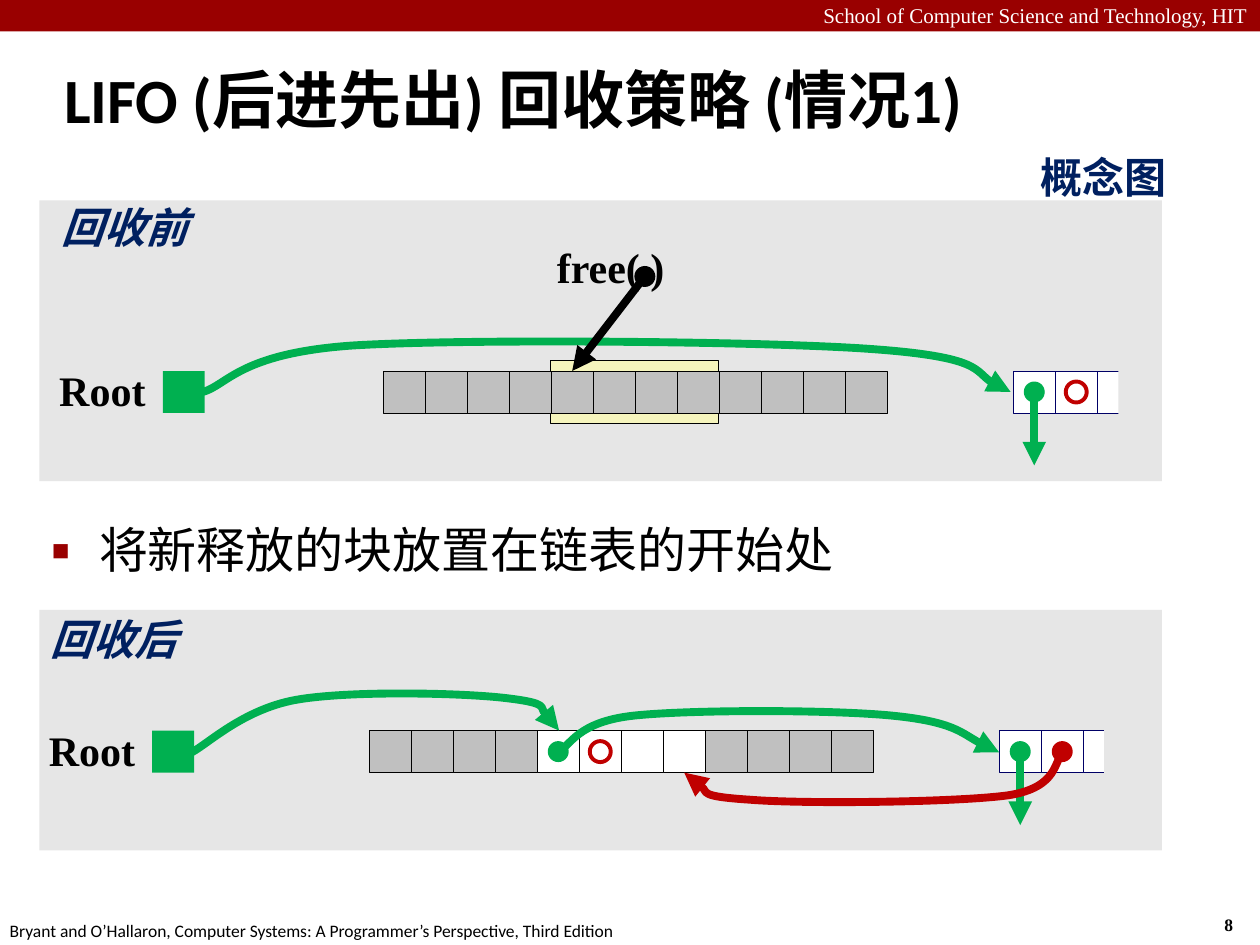
from lxml import etree
from pptx import Presentation
from pptx.dml.color import RGBColor
from pptx.enum.shapes import MSO_CONNECTOR, MSO_SHAPE
from pptx.enum.text import MSO_ANCHOR, MSO_AUTO_SIZE, PP_ALIGN
from pptx.oxml.ns import qn
from pptx.util import Pt

RECT, OVAL = MSO_SHAPE.RECTANGLE, MSO_SHAPE.OVAL
STRAIGHT = MSO_CONNECTOR.STRAIGHT
LEFT, CENTER, RIGHT = PP_ALIGN.LEFT, PP_ALIGN.CENTER, PP_ALIGN.RIGHT
TOP, MIDDLE = MSO_ANCHOR.TOP, MSO_ANCHOR.MIDDLE
FIT, FIXED = MSO_AUTO_SIZE.SHAPE_TO_FIT_TEXT, MSO_AUTO_SIZE.NONE

BLACK = RGBColor(0x00, 0x00, 0x00)
WHITE = RGBColor(0xFF, 0xFF, 0xFF)
CRIMSON = RGBColor(0x99, 0x00, 0x00)
PANEL_GRAY = RGBColor(0xE6, 0xE6, 0xE6)
USED_GRAY = RGBColor(0xC0, 0xC0, 0xC0)
BLOCK_YELLOW = RGBColor(0xF6, 0xF5, 0xBD)
NEXT_GREEN = RGBColor(0x00, 0xB0, 0x50)
PREV_RED = RGBColor(0xC0, 0x00, 0x00)
NAVY = RGBColor(0x00, 0x20, 0x60)
LIST_EDGE = RGBColor(0x00, 0x00, 0x66)

SERIF, SANS, CJK = "Times New Roman", "Calibri", "Noto Sans CJK SC"
CELL = 24
DOT = 12
ROW_CELLS = 12
LIST_OFFSET = 360  # from the first heap cell to the next free block
LABEL_FONT = {"name": SERIF, "size": Pt(24), "bold": True}
STAGE_FONT = {"name": SANS, "size": Pt(24), "bold": True, "italic": True}


def set_values(target, values):
    for name, value in values.items():
        setattr(target, name, value)


def add_figure(slide, kind, box, fill=None, edge=None, edge_width=0.25):
    figure = slide.shapes.add_shape(kind, *map(Pt, box))
    figure.shadow.inherit = False
    if fill is None:
        figure.fill.background()
    else:
        figure.fill.solid()
        figure.fill.fore_color.rgb = fill
    if edge is None:
        figure.line.fill.background()
    else:
        figure.line.color.rgb = edge
        figure.line.width = Pt(edge_width)


def add_text(slide, box, text, font, color=BLACK, align=LEFT, spacing=1.0,
             inset=(7.2, 3.6), wrap=False, anchor=TOP, fit=FIT):
    frame = slide.shapes.add_textbox(*map(Pt, box)).text_frame
    side, end = map(Pt, inset)
    set_values(frame, {"word_wrap": wrap, "auto_size": fit,
                       "vertical_anchor": anchor,
                       "margin_left": side, "margin_right": side,
                       "margin_top": end, "margin_bottom": end})
    paragraph = frame.paragraphs[0]
    set_values(paragraph, {"alignment": align, "line_spacing": spacing})
    run = paragraph.add_run()
    run.text = text
    set_values(run.font, font)
    run.font.color.rgb = color
    east_asian = etree.SubElement(run.font._element, qn("a:ea"))
    east_asian.set("typeface", CJK)
    run.font._element.find(qn("a:latin")).addnext(east_asian)
    return paragraph


def add_label(slide, box, text, font=LABEL_FONT, color=BLACK):
    add_text(slide, box, text, font, color, CENTER, 0.9, (3.6, 3.6))


def set_indent(paragraph, hanging):
    properties = paragraph._p.get_or_add_pPr()
    properties.set("marL", str(Pt(hanging)))
    properties.set("indent", str(-Pt(hanging)))
    return properties


def add_bullet(paragraph, hanging):
    properties = set_indent(paragraph, hanging)
    color = etree.SubElement(properties, qn("a:buClr"))
    etree.SubElement(color, qn("a:srgbClr")).set("val", str(CRIMSON))
    for tag, name, value in (("a:buSzPct", "val", "60000"),
                             ("a:buFont", "typeface", SERIF),
                             ("a:buChar", "char", "■")):
        etree.SubElement(properties, qn(tag)).set(name, value)


def style_arrow(arrow, color):
    arrow.line.color.rgb = color
    arrow.line.width = Pt(4.5)
    outline = arrow.line._get_or_add_ln()
    etree.SubElement(outline, qn("a:tailEnd")).set("type", "triangle")


def add_arrow(slide, start, end, color):
    arrow = slide.shapes.add_connector(STRAIGHT, *map(Pt, start + end))
    style_arrow(arrow, color)
    etree.SubElement(arrow._element.spPr, qn("a:effectLst"))


def add_curve(slide, points, color):
    """Draw a Bezier arrow: a start point, then three points per segment."""
    start, *rest = [(Pt(x), Pt(y)) for x, y in points]
    builder = slide.shapes.build_freeform(*start)
    builder.add_line_segments(rest, close=False)
    curve = builder.convert_to_shape()
    curve.shadow.inherit = False
    curve.fill.background()
    style_arrow(curve, color)
    outline = next(curve._element.iter(qn("a:path")))
    steps = outline.findall(qn("a:lnTo"))
    for first in range(0, len(steps), 3):
        bezier = etree.SubElement(outline, qn("a:cubicBezTo"))
        for step in steps[first:first + 3]:
            bezier.append(step[0])
            outline.remove(step)


def add_dot(slide, cell_left, cell_top, fill=None, edge=None):
    gap = (CELL - DOT) / 2
    add_figure(slide, OVAL, (cell_left + gap, cell_top + gap, DOT, DOT),
               fill, edge, 2.25)


def add_memory(slide, left, top, root_left, free_cells=()):
    """Draw the root, the heap row and the next free block."""
    add_figure(slide, RECT, (root_left, top, CELL, CELL), NEXT_GREEN)
    add_label(slide, (root_left - 63, top - 4, 57, 34), "Root")
    for index in range(ROW_CELLS):
        fill = WHITE if index in free_cells else USED_GRAY
        add_figure(slide, RECT, (left + index * CELL, top, CELL, CELL),
                   fill, BLACK)
    list_left = left + LIST_OFFSET
    for index in range(3):
        add_figure(slide, RECT, (list_left + index * CELL, top, CELL, CELL),
                   WHITE, LIST_EDGE)
    # Cover that leaves the last cell open on the right
    add_figure(slide, RECT, (list_left + 2.5 * CELL, top - 6, CELL, 36),
               PANEL_GRAY)
    add_dot(slide, list_left, top, NEXT_GREEN)
    middle = list_left + CELL / 2
    add_arrow(slide, (middle, top + 12), (middle, top + 54), NEXT_GREEN)


def add_before(slide):
    left, top = 219, 212
    add_figure(slide, RECT, (22.5, 114.5, 641.5, 160.5), PANEL_GRAY)
    add_figure(slide, RECT, (left + 4 * CELL - 0.5, top - 6, 4 * CELL, 36),
               BLOCK_YELLOW, BLACK, 0.75)
    add_curve(slide, [(116, 224), (130, 220), (137, 202), (201, 197.5),
                      (264, 193.5), (436, 195), (498, 199.5),
                      (561, 204), (561, 219), (577.5, 224)], NEXT_GREEN)
    add_memory(slide, left, top, 93)
    add_dot(slide, left + LIST_OFFSET + CELL, top, edge=PREV_RED)
    add_label(slide, (314.5, 138, 69, 34), "free( )")
    add_dot(slide, 356.5, 146, BLACK)
    add_arrow(slide, (368.5, 158), (327, 212), BLACK)
    add_label(slide, (31, 115, 80.5, 34), "回收前", STAGE_FONT, NAVY)


def add_after(slide):
    left, top = 211, 417.5
    freed_left = left + 4 * CELL
    add_figure(slide, RECT, (22.5, 348.5, 641.5, 137.5), PANEL_GRAY)
    add_memory(slide, left, top, 87, free_cells=range(4, 8))
    add_dot(slide, freed_left, top, NEXT_GREEN)
    add_dot(slide, left + LIST_OFFSET + CELL, top, PREV_RED)
    add_curve(slide, [(319, 430), (326, 426), (330, 412.5), (362, 409),
                      (394, 405.5), (475, 405.5), (510, 409),
                      (545, 412.5), (559, 425.5), (571, 430)], NEXT_GREEN)
    add_curve(slide, [(607.5, 430.5), (602, 434), (605.5, 450), (576, 454.5),
                      (546.5, 458.5), (459.5, 459.5), (428.5, 457),
                      (398, 455), (399, 445), (391, 441.5)], PREV_RED)
    add_label(slide, (24.5, 350, 80.5, 34), "回收后", STAGE_FONT, NAVY)
    add_dot(slide, freed_left + CELL, top, edge=PREV_RED)
    add_curve(slide, [(109.5, 430), (119, 425), (139, 405.5), (169, 400),
                      (199.5, 394.5), (265, 396), (289.5, 399),
                      (314.5, 402), (313, 413), (319.5, 417.5)], NEXT_GREEN)


def main():
    presentation = Presentation()
    presentation.slide_width, presentation.slide_height = Pt(720), Pt(540)
    slide = presentation.slides.add_slide(presentation.slide_layouts[6])

    # Header and footer
    add_figure(slide, RECT, (0, 0, 720, 18), CRIMSON)
    add_text(slide, (0, -2, 720, 22),
             "School of Computer Science and Technology, HIT",
             {"name": SERIF, "size": Pt(12)}, WHITE, RIGHT, wrap=True)
    add_text(slide, (692.5, 519, 26.5, 19.5), "8",
             {"name": SERIF, "size": Pt(10), "bold": True})
    add_text(slide, (-1.5, 522, 366, 19.5),
             "Bryant and O’Hallaron, Computer Systems: "
             "A Programmer’s Perspective, Third Edition",
             {"name": SANS, "size": Pt(10)})

    # Title and subtitle
    title = add_text(slide, (29.5, 29.5, 685, 60),
                     "LIFO (后进先出) 回收策略 (情况1)",
                     {"name": SANS, "size": Pt(36), "bold": True},
                     spacing=0.87, wrap=True, anchor=MIDDLE, fit=FIXED)
    set_indent(title, 9.4)
    add_text(slide, (521.5, 83, 152, 36), "概念图",
             {"name": CJK, "size": Pt(24), "bold": True}, NAVY, RIGHT,
             wrap=True)

    # Diagrams and the rule between them
    add_before(slide)
    policy = add_text(slide, (22.5, 296, 677, 39),
                      "将新释放的块放置在链表的开始处",
                      {"name": SERIF, "size": Pt(28)}, spacing=0.95,
                      wrap=True, fit=FIXED)
    add_bullet(policy, 27)
    add_after(slide)

    presentation.save("out.pptx")


if __name__ == "__main__":
    main()
